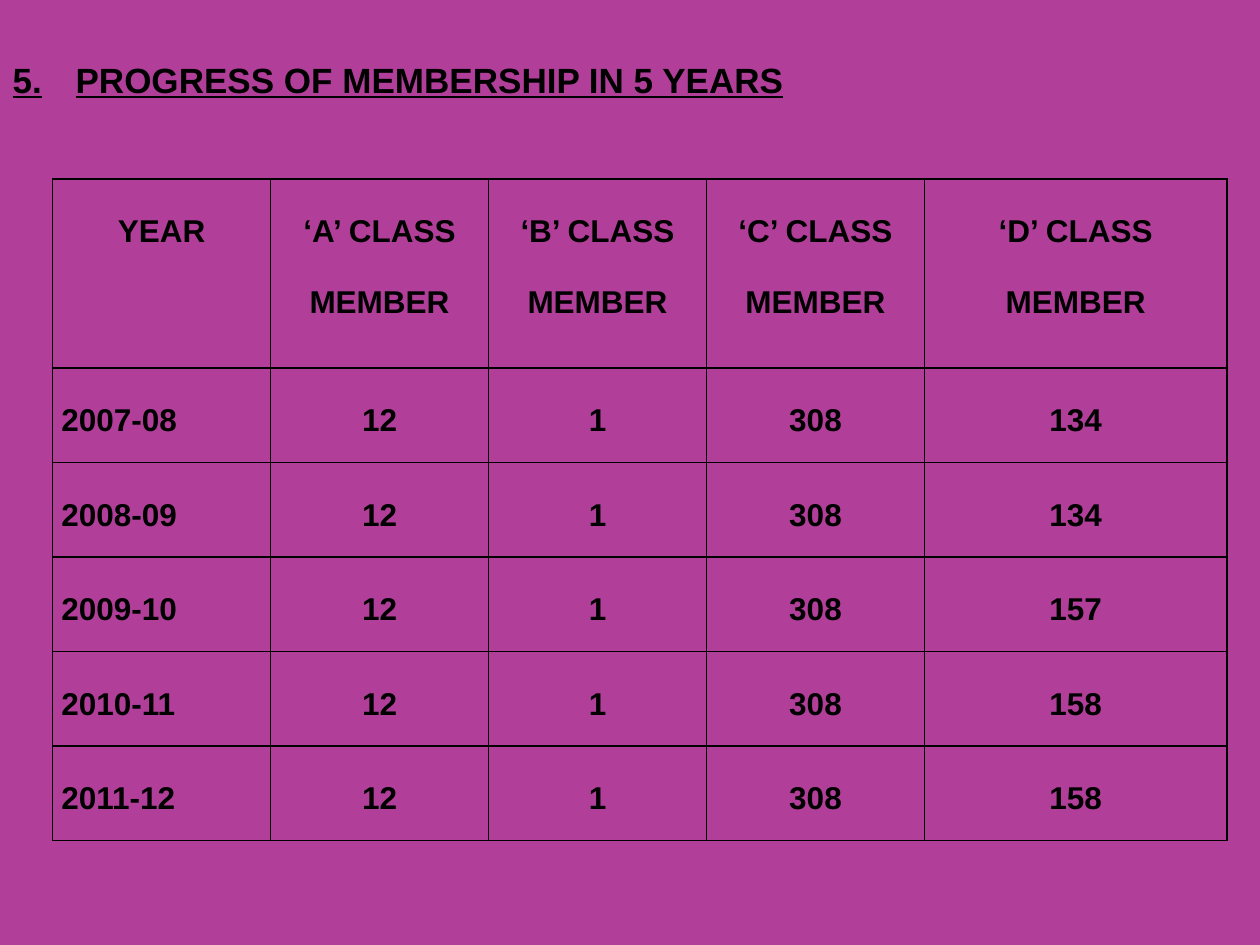
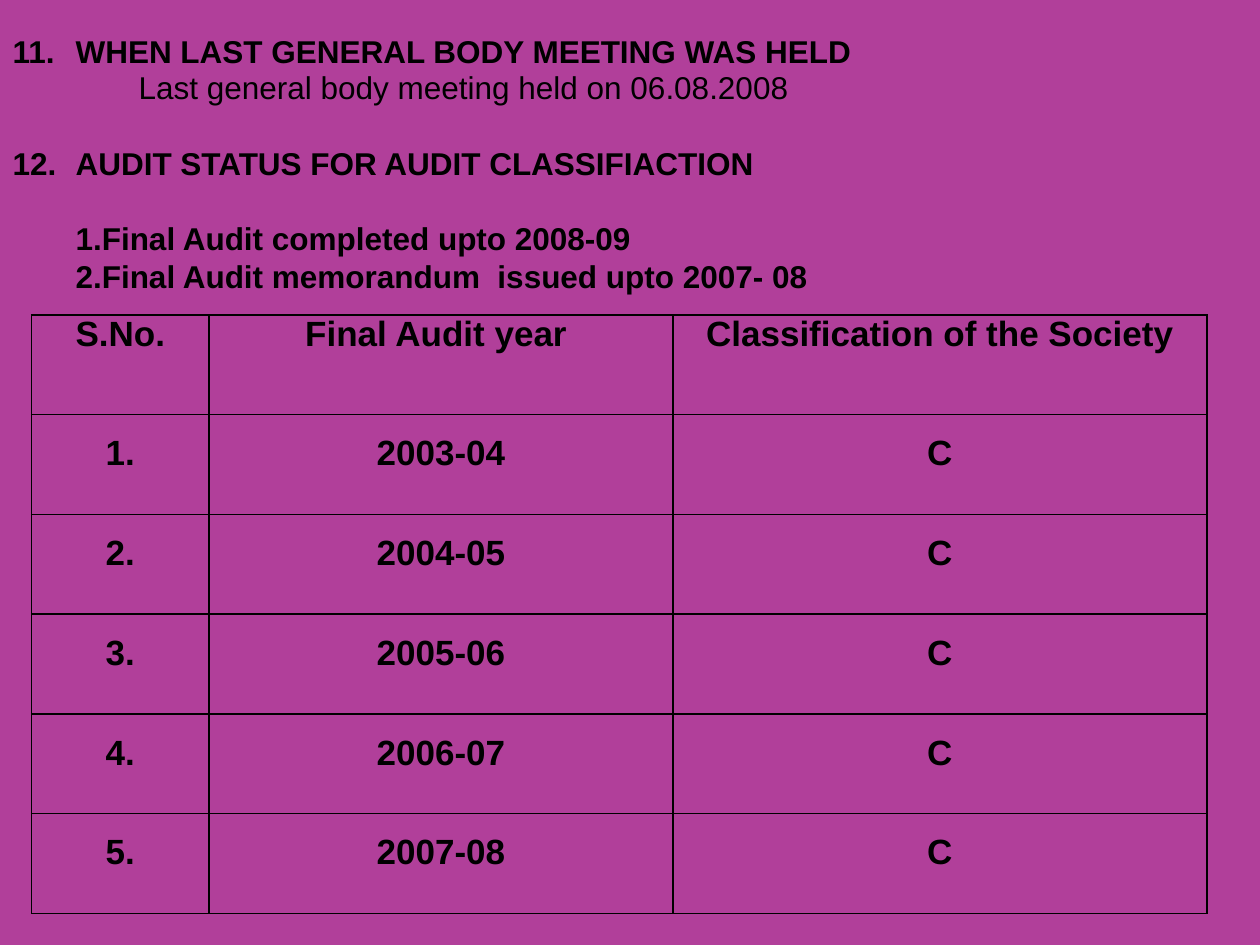
from lxml.etree import SubElement
from pptx import Presentation
from pptx.dml.color import RGBColor
from pptx.enum.text import MSO_ANCHOR, MSO_AUTO_SIZE, PP_ALIGN
from pptx.oxml.ns import qn
from pptx.util import Inches, Pt

FONT, INK, PAPER = "Arial", "000000", "B13F9A"
COLS, ROWS, UNIT = 40, 30, 0.25
LINE = 21.6


def grid(count):
    """Length of a number of grid columns or rows."""
    return Inches(count * UNIT)


def tint(fill, color):
    fill.solid()
    fill.fore_color.rgb = RGBColor.from_string(color)


def write(para, text, size=18, bold=True, line=None, align=PP_ALIGN.LEFT,
          under=False, before=0, left=0, tab=None, number=False):
    para.alignment = align
    para.space_before = Pt(before)
    if line:
        para.line_spacing = line
    props = para._p.get_or_add_pPr()
    props.set("marL", str(grid(left)))
    props.set("indent", "0")
    if number:
        SubElement(props, qn("a:buAutoNum"), type="arabicPeriod")
    else:
        SubElement(props, qn("a:buNone"))
    if tab:
        stops = SubElement(props, qn("a:tabLst"))
        SubElement(stops, qn("a:tab"), pos=str(grid(tab)), algn="l")
    run = para.add_run()
    run.text = text
    font = run.font
    font.name, font.size, font.bold, font.underline = FONT, Pt(size), bold, under
    tint(font.fill, INK)


def place(holder, top, height, anchor):
    """Put a placeholder across the slide and return its text frame."""
    holder.left, holder.top = 0, grid(top)
    holder.width, holder.height = grid(COLS), grid(height)
    frame = holder.text_frame
    frame.auto_size = MSO_AUTO_SIZE.NONE
    frame.word_wrap = True
    frame.vertical_anchor = anchor
    return frame


def head(slide, text, top, height, **style):
    frame = place(slide.shapes.title, top, height, MSO_ANCHOR.MIDDLE)
    write(frame.paragraphs[0], text, **style)


def body(slide, items, top, height):
    frame = place(slide.placeholders[1], top, height, MSO_ANCHOR.TOP)
    for i, (text, style) in enumerate(items):
        para = frame.add_paragraph() if i else frame.paragraphs[0]
        write(para, text, line=Pt(LINE), **style)


def rule(cell):
    """Draw the four borders of a cell."""
    props = cell._tc.get_or_add_tcPr()
    for side in ("lnL", "lnR", "lnT", "lnB"):
        edge = SubElement(props, qn(f"a:{side}"), w=str(Pt(1)))
        fill = SubElement(edge, qn("a:solidFill"))
        SubElement(fill, qn("a:srgbClr"), val=INK)


def table(slide, data, left, top, widths, heights, style):
    """Add a ruled table; style gives the text format for a row and column."""
    shape = slide.shapes.add_table(len(data), len(widths), grid(left), grid(top),
                                   grid(sum(widths)), grid(sum(heights)))
    chart = shape.table
    chart.first_row = chart.horz_banding = False
    for col, width in zip(chart.columns, widths):
        col.width = grid(width)
    for row, height in zip(chart.rows, heights):
        row.height = grid(height)
    for r, line in enumerate(data):
        for c, text in enumerate(line):
            cell = chart.cell(r, c)
            rule(cell)
            cell.fill.background()
            cell.margin_left = cell.margin_right = Inches(0.07)
            cell.margin_top = cell.margin_bottom = 0
            for i, part in enumerate(text.split("\n")):
                frame = cell.text_frame
                para = frame.add_paragraph() if i else frame.paragraphs[0]
                write(para, part, **style(r, c))


def members(deck):
    slide = deck.slides.add_slide(deck.slide_layouts[5])
    head(slide, "5.\tPROGRESS OF MEMBERSHIP IN 5 YEARS", 1.52, 2,
         size=20, under=True, tab=1.54)
    years = ("2007-08", "2008-09", "2009-10", "2010-11", "2011-12")
    counts = ("134", "134", "157", "158", "158")
    data = [["YEAR"] + [f"‘{k}’ CLASS\nMEMBER" for k in "ABCD"]]
    data += [[year, "12", "1", "308", count] for year, count in zip(years, counts)]

    def style(r, c):
        side = PP_ALIGN.JUSTIFY if r and not c else PP_ALIGN.CENTER
        return dict(line=2.0, align=side)

    table(slide, data, 1.67, 5.68, [6.92] * 4 + [9.6], [6] + [3] * 5, style)


def audit(deck):
    slide = deck.slides.add_slide(deck.slide_layouts[1])
    head(slide, "11.\tWHEN LAST GENERAL BODY MEETING WAS HELD", 0.8, 1.6, tab=1.9)
    body(slide, [
        ("Last general body meeting held on 06.08.2008", dict(bold=False, left=4)),
        ("12.\tAUDIT STATUS FOR AUDIT CLASSIFIACTION", dict(before=LINE, tab=1.9)),
        ("Final Audit completed upto 2008-09",
         dict(before=LINE, left=2, number=True)),
        ("Final Audit memorandum  issued upto 2007- 08", dict(left=2, number=True)),
    ], 1.96, 7.8)
    data = [["S.No.", "Final Audit year ", "Classification of the Society"]]
    data += [[f"{n}.", f"{2002 + n}-{n + 3:02}", "C"] for n in range(1, 6)]

    def style(r, c):
        return dict(size=20, line=1.5 if r else None, align=PP_ALIGN.CENTER)

    table(slide, data, 1, 10, [5.64, 14.72, 16.96], [19 / 6] * 6, style)


def main():
    deck = Presentation()
    deck.slide_width, deck.slide_height = grid(COLS), grid(ROWS)
    tint(deck.slide_master.background.fill, PAPER)
    members(deck)
    audit(deck)
    deck.save("out.pptx")


if __name__ == "__main__":
    main()
